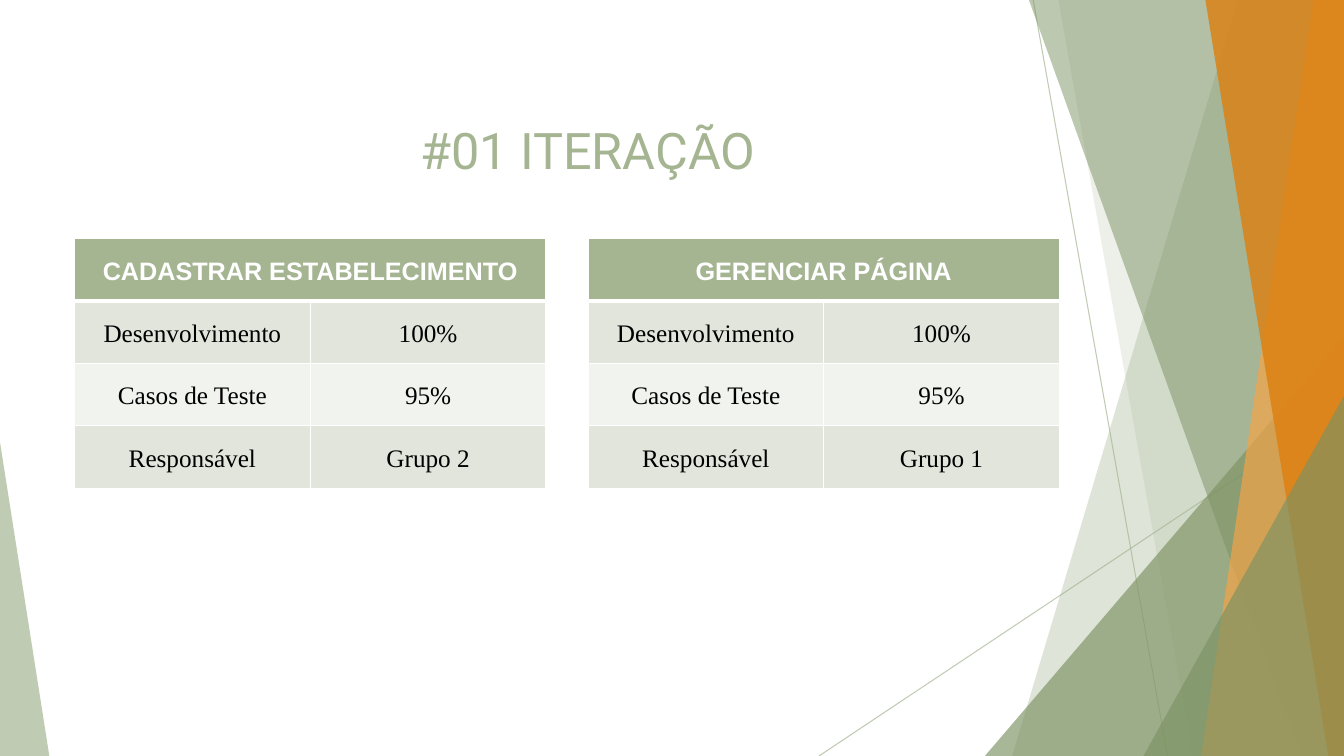
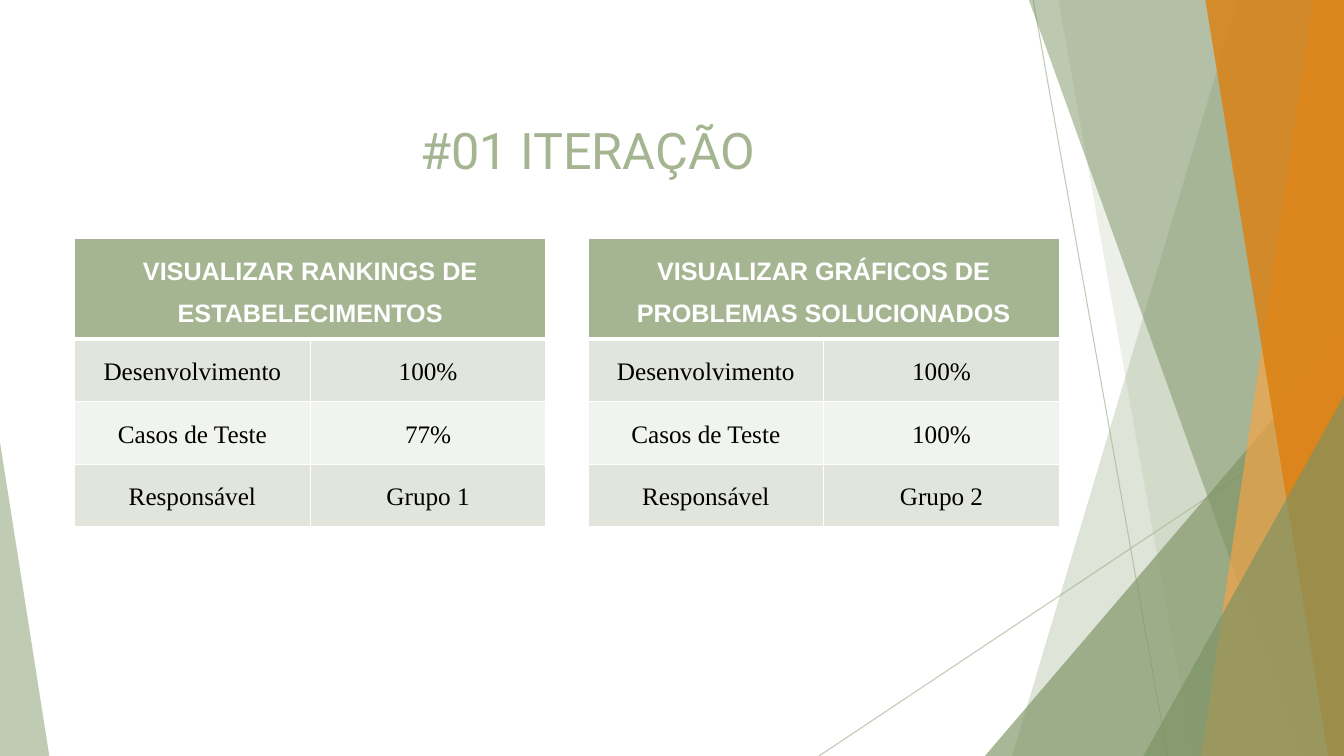
from lxml.etree import SubElement
from pptx import Presentation
from pptx.dml.color import RGBColor
from pptx.enum.shapes import MSO_CONNECTOR as Connector, MSO_SHAPE as Preset
from pptx.enum.text import MSO_ANCHOR as Anchor, MSO_AUTO_SIZE as AutoSize, PP_ALIGN as Align
from pptx.oxml.ns import qn
from pptx.util import Emu, Pt

WIDTH, HEIGHT = 1280, 720
SAGE, MOSS, AMBER, ORANGE = "A5B592", "7C9263", "F3A447", "DD7E0E"
WHITE, BLACK = "FFFFFF", "000000"
ROW_TINTS = ["E1E5DC", "F0F3EE"]

TABLE_TOP, TABLE_WIDTH, TABLE_HEIGHT = 227, 449, 238
TABLE_LEFTS = [71, 560]
ROW_LABELS = ["Desenvolvimento", "Casos de Teste", "Responsável"]

TITLE = "#01 ITERAÇÃO"
ITERATIONS = [
    [("CADASTRAR ESTABELECIMENTO", ["100%", "95%", "Grupo 2"]),
     ("GERENCIAR PÁGINA", ["100%", "95%", "Grupo 1"])],
    [("VISUALIZAR RANKINGS DE ESTABELECIMENTOS", ["100%", "77%", "Grupo 1"]),
     ("VISUALIZAR GRÁFICOS DE PROBLEMAS SOLUCIONADOS", ["100%", "100%", "Grupo 2"])],
]


def px(length):
    return Emu(length * 9525)


def rgb(color):
    return RGBColor.from_string(color)


def set_opacity(shape, percent):
    for color in shape.element.spPr.iter(qn("a:srgbClr")):
        SubElement(color, qn("a:alpha"), val=str(percent * 1000))


def paint(shape, color, opacity):
    """Give a shape a translucent fill without outline or shadow."""
    shape.shadow.inherit = False
    shape.fill.solid()
    shape.fill.fore_color.rgb = rgb(color)
    shape.line.fill.background()
    set_opacity(shape, opacity)


def add_hairline(shapes, start, end):
    ends = [px(value) for value in (*start, *end)]
    hairline = shapes.add_connector(Connector.STRAIGHT, *ends)
    hairline.line.color.rgb = rgb(SAGE)
    hairline.line.width = Pt(0.75)
    set_opacity(hairline, 70)
    SubElement(hairline.element.spPr, qn("a:effectLst"))


def add_band(shapes, top_x, bottom_x, color, opacity):
    """Fill from a slanted left edge to the right side of the slide."""
    outline = shapes.build_freeform(top_x, 0, scale=px(1))
    outline.add_line_segments([(WIDTH, 0), (WIDTH, HEIGHT), (bottom_x, HEIGHT)])
    paint(outline.convert_to_shape(), color, opacity)


def add_corner(shapes, left, right, top, apex, color, opacity):
    """Add a triangle standing on the bottom edge of the slide."""
    corner = shapes.add_shape(Preset.ISOSCELES_TRIANGLE, px(left), px(top),
                              px(right - left), px(HEIGHT - top))
    corner.adjustments[0] = apex
    paint(corner, color, opacity)


def add_backdrop(slide):
    """Draw the facets as one group and hand it to the slide's layout."""
    group = slide.shapes.add_group_shape()
    facets = group.shapes
    add_hairline(facets, (984, 0), (1112, HEIGHT))
    add_hairline(facets, (WIDTH, 387), (780, HEIGHT))
    add_band(facets, 1179, 964, SAGE, 36)
    add_band(facets, 1008, 1136, SAGE, 20)
    add_corner(facets, 938, WIDTH, 320, 1, MOSS, 66)
    add_band(facets, 980, 1239, MOSS, 50)
    add_band(facets, 1251, 1144, AMBER, 70)
    add_band(facets, 1148, 1265, ORANGE, 80)
    add_corner(facets, 1089, WIDTH, 377, 1, MOSS, 66)
    add_corner(facets, 0, 47, 421, 0, SAGE, 70)
    for number, properties in enumerate(group.element.iter(qn("p:cNvPr")), 100):
        properties.set("id", str(number))
    slide.slide_layout.shapes.element.insert(2, group.element)


def format_paragraph(paragraph, font_name, size, color, bold=False):
    paragraph.alignment = Align.CENTER
    font = paragraph.font
    font.name, font.size, font.bold = font_name, Pt(size), bold
    font.color.rgb = rgb(color)


def set_title(slide):
    title = slide.shapes.title
    title.left, title.top, title.width, title.height = map(px, (-55, 108, 1230, 68))
    frame = title.text_frame
    frame.text = TITLE
    frame.word_wrap = True
    frame.auto_size = AutoSize.SHAPE_TO_FIT_TEXT
    frame.vertical_anchor = Anchor.MIDDLE
    format_paragraph(frame.paragraphs[0], "Roboto", 36, SAGE)


def format_cell(cell, fill, bottom_width=1):
    properties = cell._tc.get_or_add_tcPr()
    for side, width in zip("LRTB", (1, 1, 1, bottom_width)):
        border = SubElement(properties, qn(f"a:ln{side}"), w=str(Pt(width)))
        solid = SubElement(border, qn("a:solidFill"))
        SubElement(solid, qn("a:srgbClr"), val=WHITE)
    cell.fill.solid()
    cell.fill.fore_color.rgb = rgb(fill)


def write_cell(cell, text, font_name, color, bold=False):
    cell.text = text
    paragraph = cell.text_frame.paragraphs[0]
    paragraph.line_spacing = 1.5
    format_paragraph(paragraph, font_name, 18, color, bold)


def add_status_table(slide, left, feature, values):
    rows = len(ROW_LABELS) + 1
    table = slide.shapes.add_table(rows, 2, px(left), px(TABLE_TOP),
                                   px(TABLE_WIDTH), px(TABLE_HEIGHT)).table
    table.horz_banding = False
    header = table.cell(0, 0)
    header.merge(table.cell(0, 1))
    for column in range(2):
        format_cell(table.cell(0, column), SAGE, bottom_width=3)
    write_cell(header, feature, "Arial", WHITE, bold=True)
    for row, entries in enumerate(zip(ROW_LABELS, values), 1):
        for column, entry in enumerate(entries):
            cell = table.cell(row, column)
            format_cell(cell, ROW_TINTS[(row - 1) % 2])
            write_cell(cell, entry, "Times New Roman", BLACK)


def main():
    prs = Presentation()
    prs.slide_width, prs.slide_height = px(WIDTH), px(HEIGHT)
    title_only = prs.slide_layouts[5]
    for features in ITERATIONS:
        slide = prs.slides.add_slide(title_only)
        set_title(slide)
        for left, (feature, values) in zip(TABLE_LEFTS, features):
            add_status_table(slide, left, feature, values)
    add_backdrop(prs.slides[0])
    prs.save("out.pptx")


if __name__ == "__main__":
    main()
